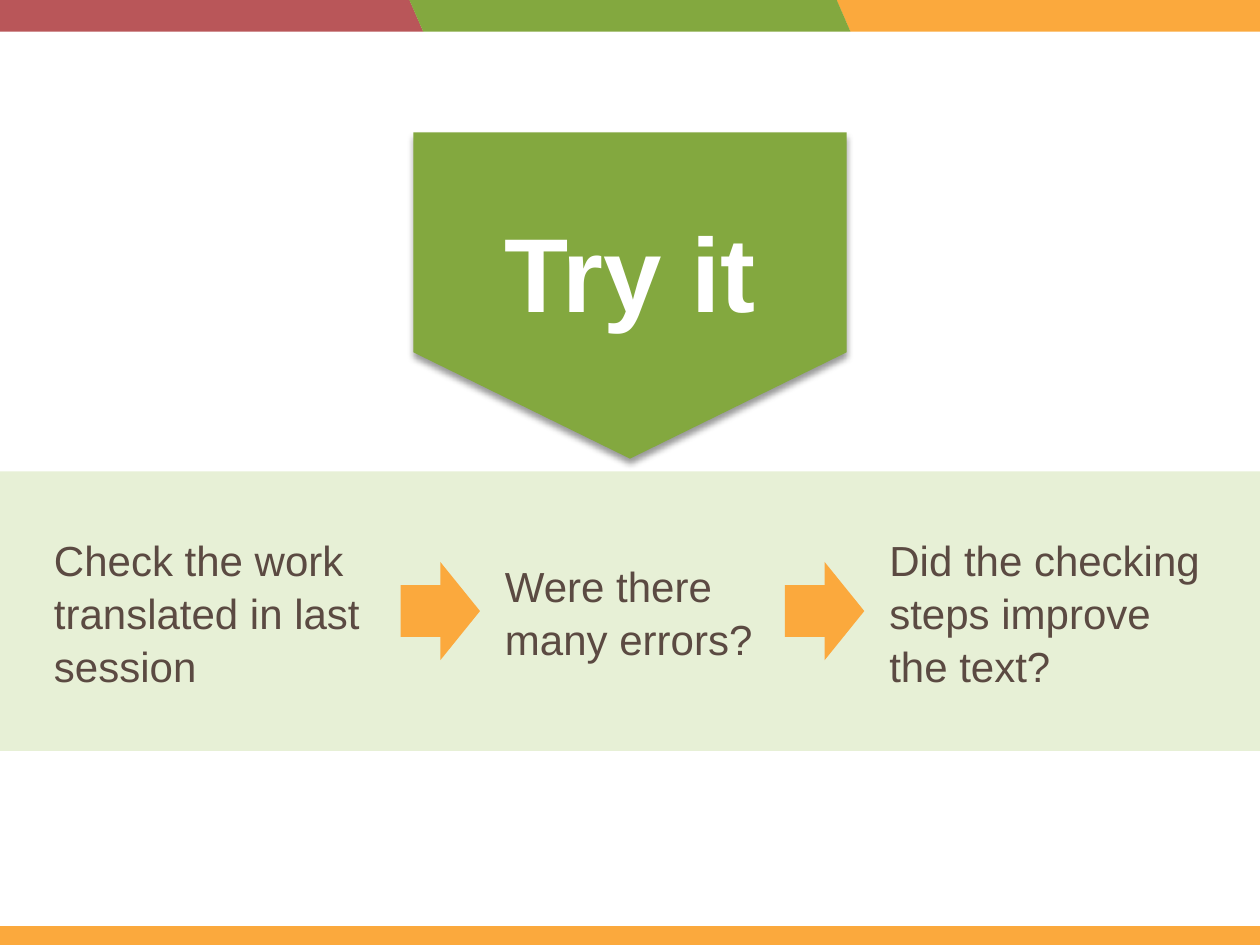
from lxml.etree import SubElement
from pptx import Presentation
from pptx.dml.color import RGBColor
from pptx.enum.shapes import MSO_SHAPE as Shape
from pptx.enum.text import MSO_ANCHOR as Anchor, MSO_AUTO_SIZE as Fit, PP_ALIGN as Align
from pptx.oxml.ns import qn
from pptx.util import Inches, Pt

RED, GREEN, GOLD = "B95659", "83A83F", "FBA93D"
PALE, BROWN, WHITE = "E7F0D6", "5B4A42", "FFFFFF"


def color(code):
    """Turn a hex string into a colour."""
    return RGBColor.from_string(code)


def add_form(slide, kind, box, fill, adjust=()):
    """Add a flat preset shape without outline or shadow."""
    form = slide.shapes.add_shape(kind, *map(Inches, box))
    form.fill.solid()
    form.fill.fore_color.rgb = color(fill)
    form.line.fill.background()
    form.shadow.inherit = False
    for spot, value in enumerate(adjust):
        form.adjustments[spot] = value
    return form


def add_words(slide, box, text, size, ink, bold=False, align=Align.LEFT, anchor=Anchor.MIDDLE):
    """Add a wrapped text box with one paragraph."""
    frame = slide.shapes.add_textbox(*map(Inches, box)).text_frame
    frame.word_wrap = True
    frame.auto_size = Fit.SHAPE_TO_FIT_TEXT
    frame.vertical_anchor = anchor
    para = frame.paragraphs[0]
    para.text = text
    para.alignment = align
    para.line_spacing = 1.05
    font = para.font
    font.name, font.size, font.bold = "Arial", Pt(size), bold
    font.color.rgb = color(ink)


def add_shade(form):
    """Give a shape a soft shadow that falls straight down."""
    effects = form._element.spPr.find(qn("a:effectLst"))
    shade = SubElement(effects, qn("a:outerShdw"), blurRad=str(Pt(4)), dist=str(Pt(3)),
                       dir="5400000", algn="t", rotWithShape="0")
    tone = SubElement(shade, qn("a:srgbClr"), val="000000")
    SubElement(tone, qn("a:alpha"), val="40000")


def add_header(slide, left, top, width, height):
    """Draw the three slanted stripes, the middle one in front."""
    long, step = 3.5, 3.39
    start = left + (width - long) / 2
    for place, fill in ((1, GOLD), (-1, RED), (0, GREEN)):
        box = (start + place * step, top, long, height)
        stripe = add_form(slide, Shape.PARALLELOGRAM, box, fill, [0.436])
        stripe._element.spPr.get_or_add_xfrm().set("flipH", "1")


def add_banner(slide, left, top, width, height):
    """Draw the pennant that points down, with its title."""
    shift = (width - height) / 2
    box = (left + shift, top - shift, height, width)
    flag = add_form(slide, Shape.PENTAGON, box, GREEN, [0.326])
    flag.rotation = 90
    add_shade(flag)
    add_words(slide, (left, top + 0.5, width, 1.11), "Try it", 60, WHITE,
              True, Align.CENTER, Anchor.TOP)


def add_steps(slide, left, top, width, height):
    """Draw the pale band with its steps and the arrows between them."""
    add_form(slide, Shape.RECTANGLE, (left, top, width, height), PALE)
    middle = top + height / 2
    steps = (
        (0.33, 2.81, 1.31, "Check the work translated in last session"),
        (3.91, 2.57, 0.91, "Were there many errors?"),
        (6.96, 2.71, 1.31, "Did the checking steps improve the text?"),
    )
    for start, wide, tall, text in steps:
        add_words(slide, (left + start, middle - tall / 2, wide, tall), text, 24, BROWN)
    wide, tall, gap = 0.63, 0.78, 0.1
    for start, *_ in steps[1:]:
        box = (left + start - gap - wide, middle - tall / 2, wide, tall)
        add_form(slide, Shape.RIGHT_ARROW, box, GOLD, [0.526, 0.5])


def main():
    """Build the slide and save it."""
    deck = Presentation()
    deck.slide_width, deck.slide_height = Inches(10), Inches(7.5)
    slide = deck.slides.add_slide(deck.slide_layouts[6])
    add_header(slide, 0, 0, 10, 0.25)
    add_form(slide, Shape.RECTANGLE, (0, 7.35, 10, 0.15), GOLD)
    add_steps(slide, 0, 3.74, 10, 2.22)
    add_banner(slide, 3.28, 1.05, 3.44, 2.59)
    deck.save("out.pptx")


if __name__ == "__main__":
    main()
